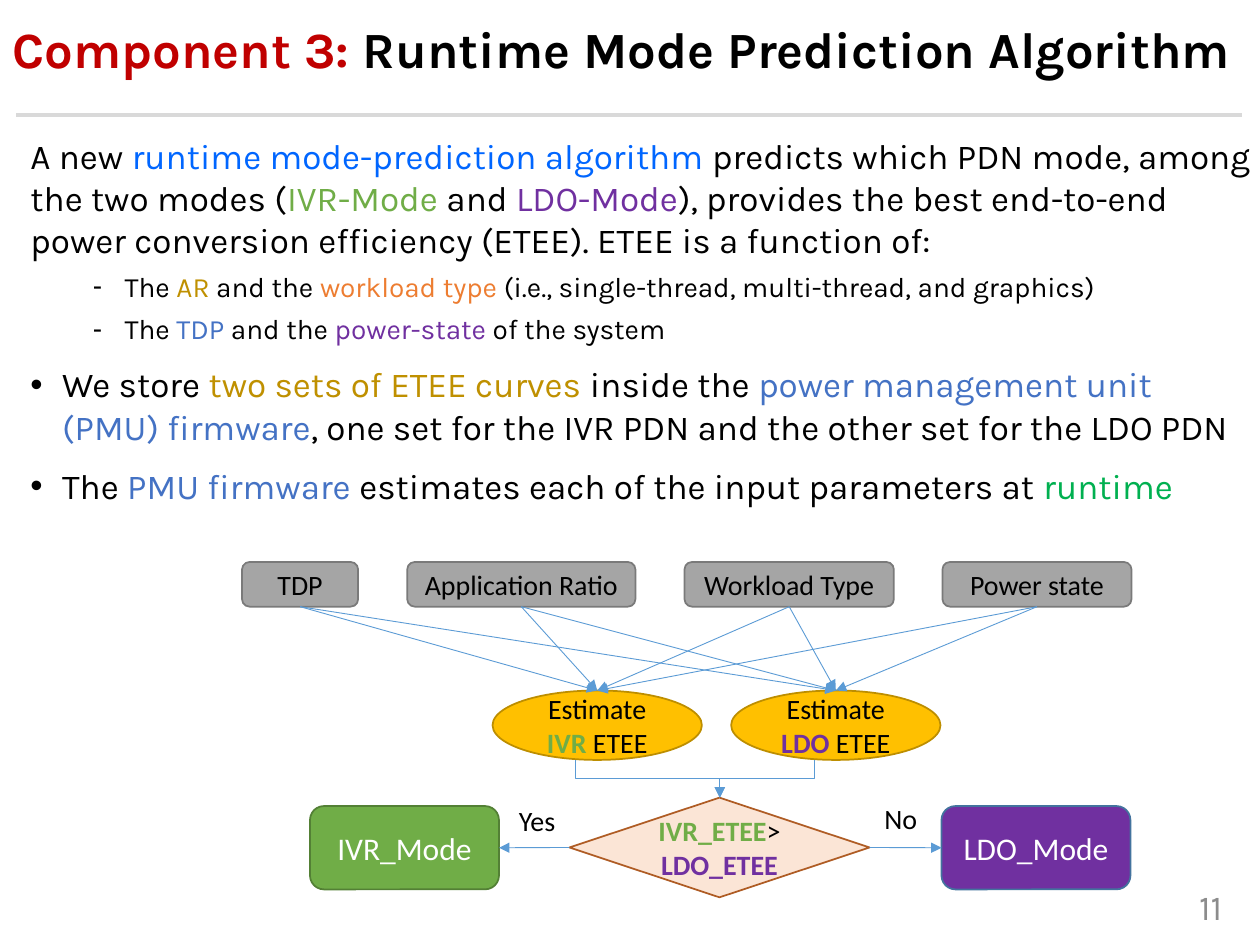
from lxml import etree
from pptx import Presentation
from pptx.dml.color import RGBColor
from pptx.enum import shapes, text
from pptx.oxml import ns
from pptx.util import Cm, Pt

BLACK = RGBColor(0x00, 0x00, 0x00)
WHITE = RGBColor(0xFF, 0xFF, 0xFF)
RED = RGBColor(0xC0, 0x00, 0x00)
BRIGHT_BLUE = RGBColor(0x00, 0x66, 0xFF)
BLUE = RGBColor(0x44, 0x72, 0xC4)
ARROW_BLUE = RGBColor(0x5B, 0x9B, 0xD5)
DARK_BLUE = RGBColor(0x43, 0x73, 0x9E)
GREEN = RGBColor(0x70, 0xAD, 0x47)
DARK_GREEN = RGBColor(0x53, 0x80, 0x35)
RUNTIME_GREEN = RGBColor(0x00, 0xB0, 0x50)
PURPLE = RGBColor(0x70, 0x30, 0xA0)
GOLD = RGBColor(0xBF, 0x90, 0x00)
AMBER = RGBColor(0xFF, 0xC0, 0x00)
DARK_AMBER = RGBColor(0xBD, 0x8E, 0x00)
ORANGE = RGBColor(0xED, 0x7D, 0x31)
PEACH = RGBColor(0xFB, 0xE5, 0xD6)
BROWN = RGBColor(0xAF, 0x5C, 0x24)
GREY = RGBColor(0xA5, 0xA5, 0xA5)
DARK_GREY = RGBColor(0x7A, 0x7A, 0x7A)
RULE_GREY = RGBColor(0xD9, 0xD9, 0xD9)
NUMBER_GREY = RGBColor(0x8C, 0x8C, 0x8C)

LEFT, CENTER, RIGHT = text.PP_ALIGN.LEFT, text.PP_ALIGN.CENTER, text.PP_ALIGN.RIGHT
KINDS = shapes.MSO_SHAPE
TOP, SIDE_LEFT, BOTTOM, SIDE_RIGHT = range(4)  # connection sites

# Each paragraph: bullet, level, size, space before, runs
BODY = [
    (None, 0, 20, 0, [
        ("A new ",), ("runtime mode-prediction algorithm ", BRIGHT_BLUE),
        ("predicts which PDN mode, among the two modes (",), ("IVR-Mode", GREEN),
        (" and ",), ("LDO-Mode", PURPLE),
        ("), provides the best end-to-end power conversion efficiency (ETEE). "
         "ETEE is a function of:",)]),
    ("-", 1, 16, 5, [
        ("The ",), ("AR", GOLD), (" and the ",), ("workload type ", ORANGE),
        ("(i.e., single-thread, multi-thread, and graphics)",)]),
    ("-", 1, 16, 5, [
        ("The ",), ("TDP", BLUE), (" and the ",), ("power-state", PURPLE),
        (" of the system",)]),
    ("•", 0, 20, 10, [
        ("We store ",), ("two sets of ETEE curves ", GOLD), ("inside the ",),
        ("power management unit (PMU) firmware", BLUE),
        (", one set for the IVR PDN and the other set for the LDO PDN",)]),
    ("•", 0, 20, 10, [
        ("The ",), ("PMU firmware ", BLUE),
        ("estimates each of the input parameters at ",), ("runtime", RUNTIME_GREEN)]),
]


def write(paragraph, runs, size=16, font="Calibri", color=BLACK, align=LEFT,
          bold=False, before=0, spacing=1.0):
    """Fill a paragraph with runs given as (text, colour, bold); the last two are optional."""
    paragraph.alignment = align
    paragraph.space_before = Pt(before)
    paragraph.line_spacing = spacing
    for content, *style in runs:
        run = paragraph.add_run()
        run.text = content
        run.font.name = font
        run.font.size = Pt(size)
        run.font.color.rgb = style[0] if style else color
        run.font.bold = style[1] if len(style) > 1 else bold


def set_bullet(paragraph, mark, level):
    paragraph.level = level
    properties = paragraph._p.get_or_add_pPr()
    indent = Cm(0.64) if mark else 0
    properties.set("marL", str(Cm(1.9) if level else indent))
    properties.set("indent", str(-indent))
    bullet = etree.SubElement(properties, ns.qn("a:buChar" if mark else "a:buNone"))
    if mark:
        bullet.set("char", mark)


def place(shape, left, top, width, height):
    shape.left, shape.top, shape.width, shape.height = map(Cm, (left, top, width, height))


def add_node(slide, kind, box, fill, line, runs, **style):
    shape = slide.shapes.add_shape(kind, *map(Cm, box))
    shape.shadow.inherit = False
    shape.fill.solid()
    shape.fill.fore_color.rgb = fill
    shape.line.color.rgb = line
    shape.line.width = Pt(1)
    frame = shape.text_frame
    frame.word_wrap = True
    frame.vertical_anchor = text.MSO_ANCHOR.MIDDLE
    write(frame.paragraphs[0], runs, align=CENTER, **style)
    return shape


def add_label(slide, box, content, wrap=False, **style):
    frame = slide.shapes.add_textbox(*map(Cm, box)).text_frame
    frame.word_wrap = wrap
    write(frame.paragraphs[0], [(content,)], **style)


def add_line(slide, points, color=ARROW_BLUE, width=0.5, arrow=True,
             kind=shapes.MSO_CONNECTOR.STRAIGHT):
    connector = slide.shapes.add_connector(kind, *map(Cm, points))
    connector.line.color.rgb = color
    connector.line.width = Pt(width)
    if arrow:
        line = connector.line._get_or_add_ln()
        etree.SubElement(line, ns.qn("a:tailEnd")).set("type", "triangle")
    etree.SubElement(connector._element.spPr, ns.qn("a:effectLst"))
    return connector


def link(slide, start, start_site, end, end_site):
    connector = add_line(slide, (0, 0, 1, 1))
    connector.begin_connect(start, start_site)
    connector.end_connect(end, end_site)


def add_drop(slide, x1, y1, x2, y2):
    """Elbow arrow that goes down, across and down: a turned horizontal elbow."""
    middle_x, middle_y = (x1 + x2) / 2, (y1 + y2) / 2
    half_run, half_drop = abs(x2 - x1) / 2, (y2 - y1) / 2
    side = 1 if x1 > x2 else -1
    connector = add_line(
        slide, (middle_x - side * half_drop, middle_y - half_run,
                middle_x + side * half_drop, middle_y + half_run),
        kind=shapes.MSO_CONNECTOR.ELBOW)
    transform = connector._element.spPr.find(ns.qn("a:xfrm"))
    transform.set("rot", str((90 if side == 1 else 270) * 60000))


def build_header(slide, left, top, width, height):
    title = slide.shapes.title
    place(title, left, top, width, height)
    frame = title.text_frame
    frame.auto_size = text.MSO_AUTO_SIZE.NONE
    frame.vertical_anchor = text.MSO_ANCHOR.TOP
    write(frame.paragraphs[0],
          [("Component 3:", RED), (" Runtime Mode Prediction Algorithm",)],
          size=29, font="Karla", bold=True, spacing=0.9)
    # Rule under the title
    rule_y = top + 1.95
    add_line(slide, (left + 0.33, rule_y, left + width - 0.36, rule_y),
             color=RULE_GREY, width=2.25, arrow=False)


def build_body(slide, left, top, width, height):
    body = slide.placeholders[1]
    place(body, left, top, width, height)
    frame = body.text_frame
    frame.auto_size = text.MSO_AUTO_SIZE.NONE
    frame.vertical_anchor = text.MSO_ANCHOR.TOP
    for index, (mark, level, size, before, runs) in enumerate(BODY):
        paragraph = frame.add_paragraph() if index else frame.paragraphs[0]
        set_bullet(paragraph, mark, level)
        write(paragraph, runs, size=size, font="Karla", before=before)


def build_flowchart(slide, left, top):
    # Input parameters
    inputs = [
        add_node(slide, KINDS.FLOWCHART_ALTERNATE_PROCESS, (left + x, top, width, 0.9),
                 GREY, DARK_GREY, [(name,)])
        for name, x, width in [("TDP", 0, 2.34), ("Application Ratio", 3.33, 4.6),
                               ("Workload Type", 8.92, 4.22), ("Power state", 14.12, 3.81)]]

    # Decision
    decision_y = top + 4.75
    decision = add_node(slide, KINDS.FLOWCHART_DECISION, (left + 6.6, decision_y, 6.05, 2.01),
                        PEACH, BROWN, [("IVR_ETEE", GREEN, True), ("> ",),
                                       ("LDO_ETEE", PURPLE, True)])
    decision.text_frame.margin_left = decision.text_frame.margin_right = Cm(0.1)

    # Estimates, fed by every input and leading to the decision
    for name, color, x in [("IVR ", GREEN, 5.05), ("LDO ", PURPLE, 9.86)]:
        estimate = add_node(slide, KINDS.FLOWCHART_CONNECTOR, (left + x, top + 2.59, 4.22, 1.4),
                            AMBER, DARK_AMBER,
                            [("Estimate ",), (name, color, True), ("ETEE",)])
        for parameter in inputs:
            link(slide, parameter, BOTTOM, estimate, TOP)
        add_drop(slide, left + x + 1.68, top + 3.99, left + 9.63, decision_y)

    # Resulting modes
    for name, x, fill, line, site, mode_site in [
            ("IVR_Mode", 1.37, GREEN, DARK_GREEN, SIDE_LEFT, SIDE_RIGHT),
            ("LDO_Mode", 14.1, PURPLE, DARK_BLUE, SIDE_RIGHT, SIDE_LEFT)]:
        mode = add_node(slide, KINDS.ROUNDED_RECTANGLE, (left + x, top + 4.92, 3.81, 1.68),
                        fill, line, [(name,)], size=18, color=WHITE)
        link(slide, decision, site, mode, mode_site)
    add_label(slide, (left + 5.33, top + 4.75, 1.24, 0.94), "Yes")
    add_label(slide, (left + 12.7, top + 4.7, 1.19, 0.94), "No")


def main():
    presentation = Presentation()
    presentation.slide_width, presentation.slide_height = Cm(25.4), Cm(19.05)
    slide = presentation.slides.add_slide(presentation.slide_layouts[1])
    build_header(slide, 0, 0.36, 25.4, 1.68)
    build_body(slide, 0.36, 2.59, 25.17, 14.7)
    build_flowchart(slide, 4.88, 11.33)
    # Slide number
    add_label(slide, (22.15, 17.72, 2.74, 1.02), "11", wrap=True,
              size=20, font="Karla", color=NUMBER_GREY, align=RIGHT)
    presentation.save("out.pptx")


if __name__ == "__main__":
    main()
